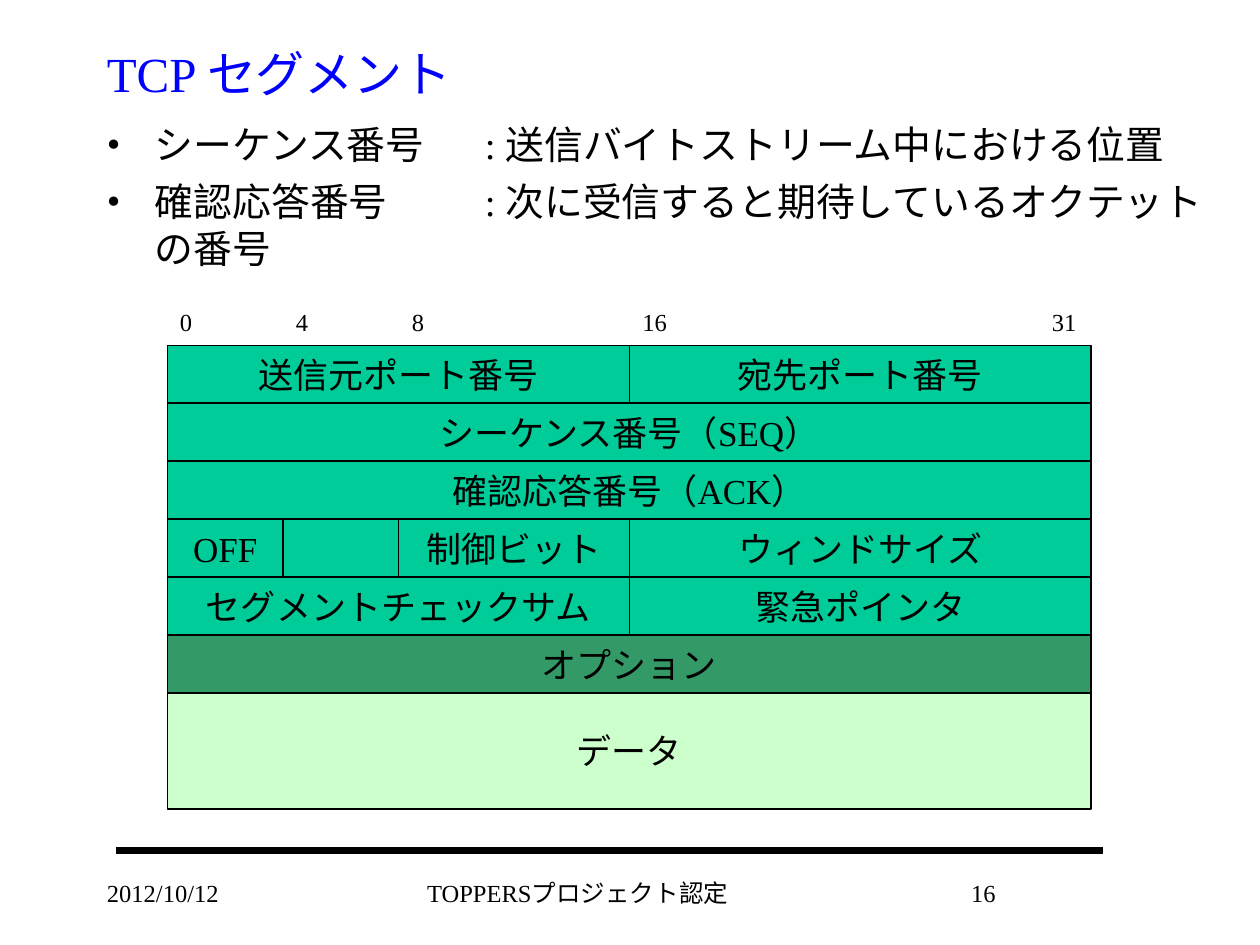
from lxml import etree
from pptx import Presentation
from pptx.dml.color import RGBColor
from pptx.enum.shapes import MSO_CONNECTOR, MSO_SHAPE
from pptx.enum.text import MSO_ANCHOR as Anchor, PP_ALIGN as Align
from pptx.oxml.ns import qn
from pptx.util import Inches, Pt

FONT = "Times New Roman"
BLACK, BLUE = "000000", "0000FF"
HEADER, OPTION, DATA = "00CC99", "339966", "CCFFCC"


def color(value):
    return RGBColor.from_string(value)


def write_text(shape, text, size, font_color=BLACK, align=Align.LEFT,
               anchor=Anchor.TOP, wrap=True):
    text_frame = shape.text_frame
    text_frame.text = text
    text_frame.word_wrap = wrap
    text_frame.vertical_anchor = anchor
    for paragraph in text_frame.paragraphs:
        paragraph.alignment = align
        for run in paragraph.runs:
            run.font.name = FONT
            run.font.size = Pt(size)
            run.font.color.rgb = color(font_color)


presentation = Presentation()
presentation.slide_width = Inches(10)
presentation.slide_height = Inches(7.5)
slide = presentation.slides.add_slide(presentation.slide_layouts[6])
shapes = slide.shapes

# Footer rule
rule = shapes.add_connector(MSO_CONNECTOR.STRAIGHT, Inches(0.92), Inches(6.75),
                            Inches(8.75), Inches(6.75))
rule.line.color.rgb = color(BLACK)
rule.line.width = Pt(4.5)
etree.SubElement(rule._element.spPr, qn("a:effectLst"))

# Footer: date, name and page number
for text, left, width, align in [
    ("2012/10/12", 0.75, 2.08, Align.LEFT),
    ("TOPPERSプロジェクト認定", 3, 3.17, Align.CENTER),
    ("16", 6.83, 1.17, Align.RIGHT),
]:
    footer = shapes.add_textbox(Inches(left), Inches(6.92), Inches(width), Inches(0.33))
    write_text(footer, text, 14, align=align)

# Title
title = shapes.add_textbox(Inches(0.75), Inches(0.33), Inches(8.5), Inches(0.5))
write_text(title, "TCP セグメント", 28, BLUE, anchor=Anchor.MIDDLE)

# Bulleted descriptions, with a tab stop at every inch
body = shapes.add_textbox(Inches(0.75), Inches(0.91), Inches(8.9), Inches(1.41))
descriptions = [
    "シーケンス番号 \t: 送信バイトストリーム中における位置",
    "確認応答番号 \t: 次に受信すると期待しているオクテットの番号",
]
write_text(body, "\n".join(descriptions), 22.2)
for index, paragraph in enumerate(body.text_frame.paragraphs):
    properties = paragraph._p.get_or_add_pPr()
    properties.set("marL", str(Inches(0.38)))
    properties.set("indent", str(Inches(-0.38)))
    etree.SubElement(properties, qn("a:buFont"), typeface=FONT)
    etree.SubElement(properties, qn("a:buChar"), char="•")
    tab_list = etree.SubElement(properties, qn("a:tabLst"))
    for inch in range(1, 9):
        etree.SubElement(tab_list, qn("a:tab"), pos=str(Inches(inch)), algn="l")
    if index:
        paragraph.space_before = Pt(6)

# Segment diagram: 32 bits wide, rows of equal height
DIAGRAM_LEFT, DIAGRAM_TOP = 1.33, 2.74
BIT_WIDTH, ROW_HEIGHT = 7.33 / 32, 0.46

# Bit numbers above the diagram
for label, left in [("0", 1.33), ("4", 2.25), ("8", 3.17), ("16", 5), ("31", 8.25)]:
    number = shapes.add_textbox(Inches(left), Inches(2.39), Inches(0.5), Inches(0.34))
    write_text(number, label, 14)

# Fields: text, first bit, bits, row, rows, fill
fields = [
    ("送信元ポート番号", 0, 16, 0, 1, HEADER),
    ("宛先ポート番号", 16, 16, 0, 1, HEADER),
    ("シーケンス番号（SEQ）", 0, 32, 1, 1, HEADER),
    ("確認応答番号（ACK）", 0, 32, 2, 1, HEADER),
    ("OFF", 0, 4, 3, 1, HEADER),
    ("", 4, 4, 3, 1, HEADER),
    ("制御ビット", 8, 8, 3, 1, HEADER),
    ("ウィンドサイズ", 16, 16, 3, 1, HEADER),
    ("セグメントチェックサム", 0, 16, 4, 1, HEADER),
    ("緊急ポインタ", 16, 16, 4, 1, HEADER),
    ("オプション", 0, 32, 5, 1, OPTION),
    ("データ", 0, 32, 6, 2, DATA),
]
for text, first_bit, bits, row, rows, fill in fields:
    field = shapes.add_shape(
        MSO_SHAPE.RECTANGLE,
        Inches(DIAGRAM_LEFT + first_bit * BIT_WIDTH),
        Inches(DIAGRAM_TOP + row * ROW_HEIGHT),
        Inches(bits * BIT_WIDTH), Inches(rows * ROW_HEIGHT))
    field.shadow.inherit = False
    field.fill.solid()
    field.fill.fore_color.rgb = color(fill)
    field.line.color.rgb = color(BLACK)
    field.line.width = Pt(0.75)
    if text:
        write_text(field, text, 20, align=Align.CENTER, anchor=Anchor.MIDDLE, wrap=False)

presentation.save("out.pptx")
